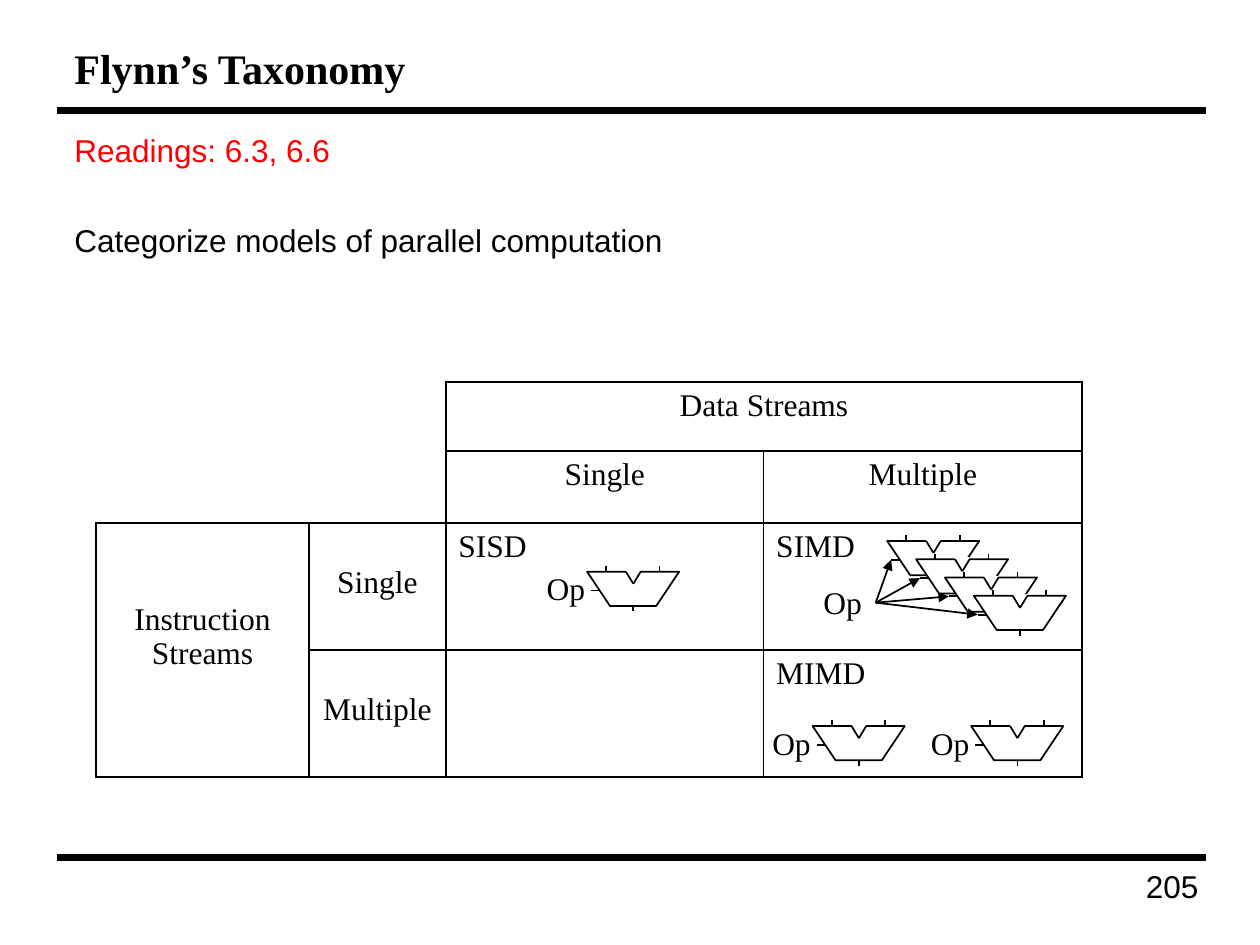
import pptx
import pptx.dml.color
import pptx.enum.shapes
import pptx.enum.text
import pptx.oxml
import pptx.oxml.ns
import pptx.util

Pt = pptx.util.Pt
ALIGN = pptx.enum.text.PP_ALIGN
ANCHOR = pptx.enum.text.MSO_ANCHOR
SANS, SERIF = "Arial", "Times New Roman"
BLACK, WHITE, RED = "000000", "FFFFFF", "FF0000"


def color(value):
    return pptx.dml.color.RGBColor.from_string(value)


def element(xml):
    namespace = pptx.oxml.ns.nsdecls("a")
    return pptx.oxml.parse_xml(xml.replace("NS", namespace, 1))


class SlideBuilder:
    """Holds the style and the current slide."""

    text_size = 18
    line_width = 1

    def __init__(self, slide):
        self.slide = slide

    def format_paragraph(self, paragraph, font=SERIF, size=text_size, ink=BLACK,
                         bold=False, align=ALIGN.LEFT):
        paragraph.alignment = align
        for run in paragraph.runs:
            run.font.name = font
            run.font.size = Pt(size)
            run.font.bold = bold
            run.font.color.rgb = color(ink)

    def text(self, left, top, width, height, content, shapes=None, wrap=True,
             anchor=ANCHOR.TOP, **style):
        box = (shapes or self.slide.shapes).add_textbox(
            Pt(left), Pt(top), Pt(width), Pt(height))
        frame = box.text_frame
        frame.word_wrap = wrap
        frame.vertical_anchor = anchor
        frame.text = content
        for paragraph in frame.paragraphs:
            self.format_paragraph(paragraph, **style)
        return frame

    def line(self, start, end, shapes=None, ink=BLACK, width=line_width, arrow=False):
        connector = (shapes or self.slide.shapes).add_connector(
            pptx.enum.shapes.MSO_CONNECTOR.STRAIGHT,
            Pt(start[0]), Pt(start[1]), Pt(end[0]), Pt(end[1]))
        connector.line.color.rgb = color(ink)
        connector.line.width = Pt(width)
        if arrow:
            connector.line._get_or_add_ln().append(
                element('<a:tailEnd NS type="triangle"/>'))
        connector._element.spPr.append(element("<a:effectLst NS/>"))

    def alu(self, left, top, label=None):
        """Draw one processing unit, with its top left corner at (left, top)."""
        shapes = self.slide.shapes.add_group_shape().shapes

        def at(x, y):
            return left + x, top + y

        corners = [at(0, 0), at(13.1, 19.6), at(39.5, 19.6), at(52.6, 0)]
        points = [(Pt(x), Pt(y)) for x, y in corners]
        builder = shapes.build_freeform(*points[0], scale=1.0)
        builder.add_line_segments(points[1:], close=True)
        body = builder.convert_to_shape()
        body.shadow.inherit = False
        body.fill.solid()
        body.fill.fore_color.rgb = color(WHITE)
        body.line.color.rgb = color(BLACK)
        body.line.width = Pt(self.line_width)

        # Notch in the top edge
        self.line(at(30.4, 0), at(22.3, 0), shapes, ink=WHITE, width=2.25)
        self.line(at(26.4, 6.9), at(22.2, 0), shapes)
        self.line(at(26.4, 6.9), at(30.6, 0), shapes)
        # Output, two inputs and the operation pin
        self.line(at(26.4, 19.6), at(26.4, 22.7), shapes)
        self.line(at(41.4, -3.2), at(41.4, 0), shapes)
        self.line(at(10.9, -3.2), at(10.9, 0), shapes)
        self.line(at(7.2, 10.8), at(2.2, 10.8), shapes)
        if label:
            self.text(left - 30.2, top - 4.8, 36.7, 28.8, label, shapes, wrap=False)

    def cell(self, cell, content="", align=ALIGN.CENTER, blank_above=0, borders="LRTB"):
        properties = cell._tc.get_or_add_tcPr()
        for side in "LRTB":
            fill = (f'<a:solidFill><a:srgbClr val="{BLACK}"/></a:solidFill>'
                    if side in borders else "<a:noFill/>")
            properties.append(element(
                f'<a:ln{side} NS w="{Pt(self.line_width)}">{fill}</a:ln{side}>'))
        cell.fill.background()
        cell.margin_top = Pt(3.6 + blank_above)
        cell.text_frame.text = content
        for paragraph in cell.text_frame.paragraphs:
            self.format_paragraph(paragraph, align=align)

    def table(self, left, top, widths, heights, contents, merges, corner):
        table = self.slide.shapes.add_table(
            len(heights), len(widths), Pt(left), Pt(top),
            Pt(sum(widths)), Pt(sum(heights))).table
        table.first_row = table.horz_banding = False
        for column, width in zip(table.columns, widths):
            column.width = Pt(width)
        for row, height in zip(table.rows, heights):
            row.height = Pt(height)
        for first, last in merges:
            table.cell(*first).merge(table.cell(*last))
        for row in range(len(heights)):
            for column in range(len(widths)):
                options = dict(contents.get((row, column), {}))
                if row < corner and column < corner:
                    options["borders"] = "RB" if row == column == 0 else (
                        "R" * (column == corner - 1) + "B" * (row == corner - 1))
                self.cell(table.cell(row, column), **options)


def main():
    presentation = pptx.Presentation()
    presentation.slide_width, presentation.slide_height = Pt(720), Pt(540)
    slide = presentation.slides.add_slide(presentation.slide_layouts[6])
    builder = SlideBuilder(slide)

    # Rules, heading and page number
    for y in (63.2, 490.3):
        builder.line((32.4, y), (689, y), width=4)
    builder.text(35.5, 18, 651, 41.8, "Flynn’s Taxonomy", size=24, bold=True,
                 anchor=ANCHOR.MIDDLE)
    builder.text(544.3, 491.8, 147.6, 35.3, "205", font=SANS, align=ALIGN.RIGHT)

    # Body text
    body = builder.text(35.5, 71.5, 651, 415,
                        "Readings: 6.3, 6.6\nCategorize models of parallel computation",
                        font=SANS)
    builder.format_paragraph(body.paragraphs[0], font=SANS, ink=RED)
    body.paragraphs[1].space_before = Pt(29.6)

    # Taxonomy table
    text_line = 20.7
    contents = {
        (0, 2): dict(content="Data Streams"),
        (1, 2): dict(content="Single"),
        (1, 3): dict(content="Multiple"),
        (2, 0): dict(content="Instruction\nStreams", blank_above=2 * text_line),
        (2, 1): dict(content="Single", blank_above=text_line),
        (3, 1): dict(content="Multiple", blank_above=text_line),
        (2, 2): dict(content="SISD", align=ALIGN.LEFT),
        (2, 3): dict(content="SIMD", align=ALIGN.LEFT),
        (3, 3): dict(content="MIMD", align=ALIGN.LEFT),
    }
    merges = [((0, 0), (1, 1)), ((0, 2), (0, 3)), ((2, 0), (3, 0))]
    builder.table(54.9, 218.4, [121.7, 78.2, 181.6, 182], [39.4, 41.2, 72.5, 72.5],
                  contents, merges, corner=2)

    # SISD and MIMD units, each with its own operation
    for left, top in ((335.5, 326.7), (464.4, 414.9), (555, 414.9)):
        builder.alu(left, top, "Op")

    # SIMD: one operation fans out to four overlapping units
    builder.text(463.4, 329.8, 36.7, 28.8, "Op", wrap=False)
    units = [(507 + 16.5 * index, 309.1 + 10.45 * index) for index in range(4)]
    for left, top in units:
        builder.alu(left, top)
    for left, top in units:
        builder.line((500.4, 344.4), (left + 2.2, top + 10.8), arrow=True)

    presentation.save("out.pptx")


if __name__ == "__main__":
    main()
